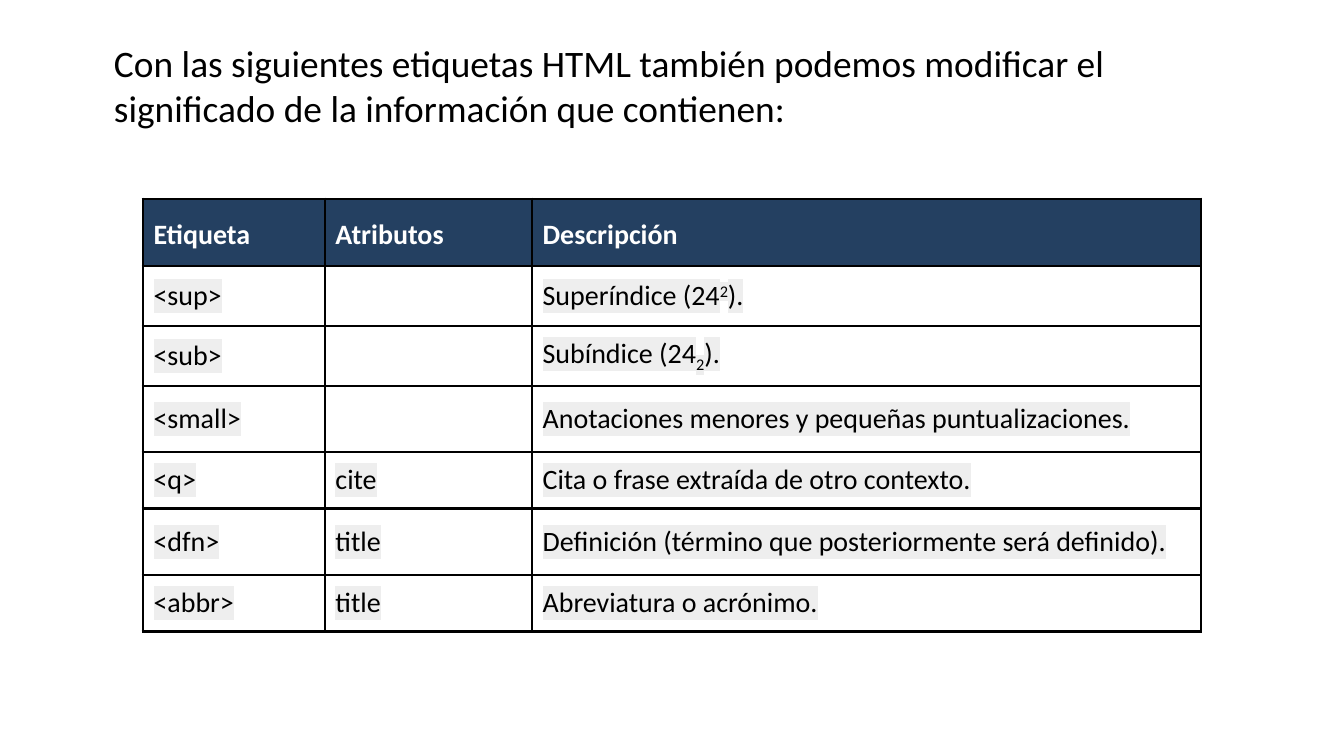
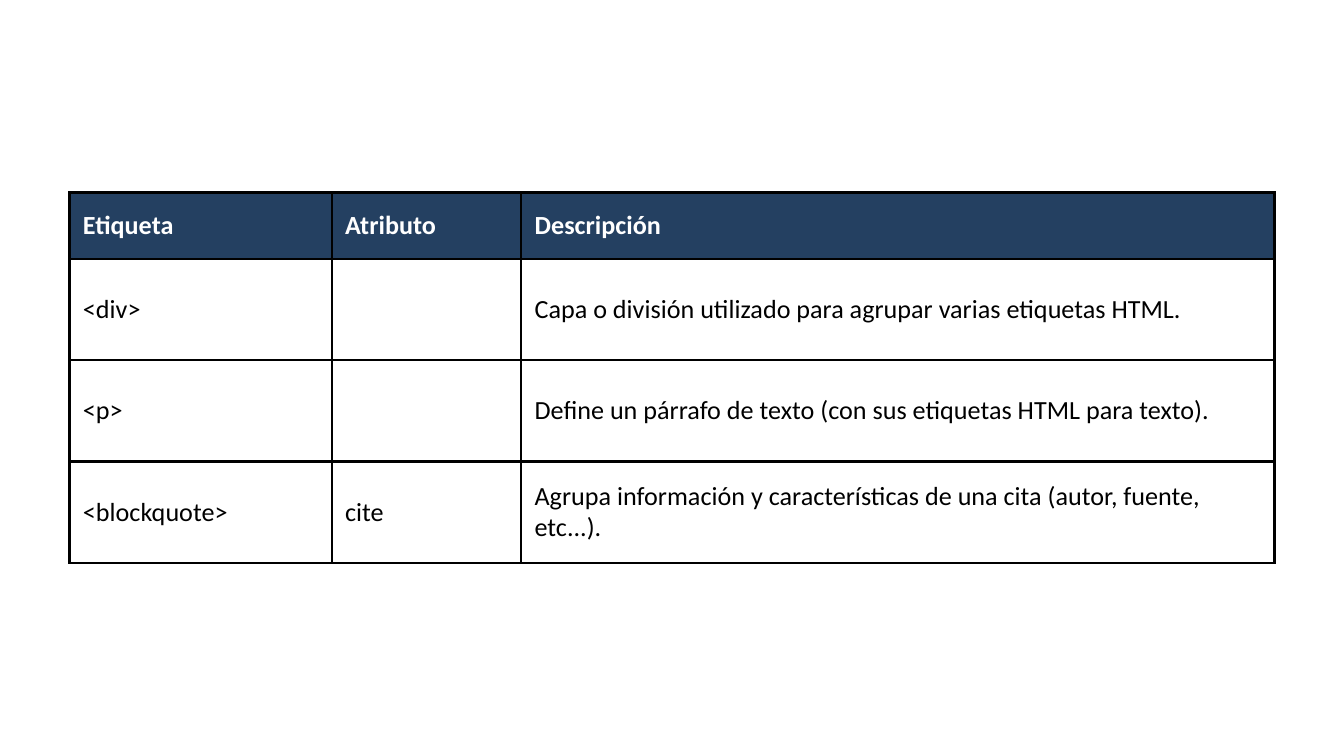
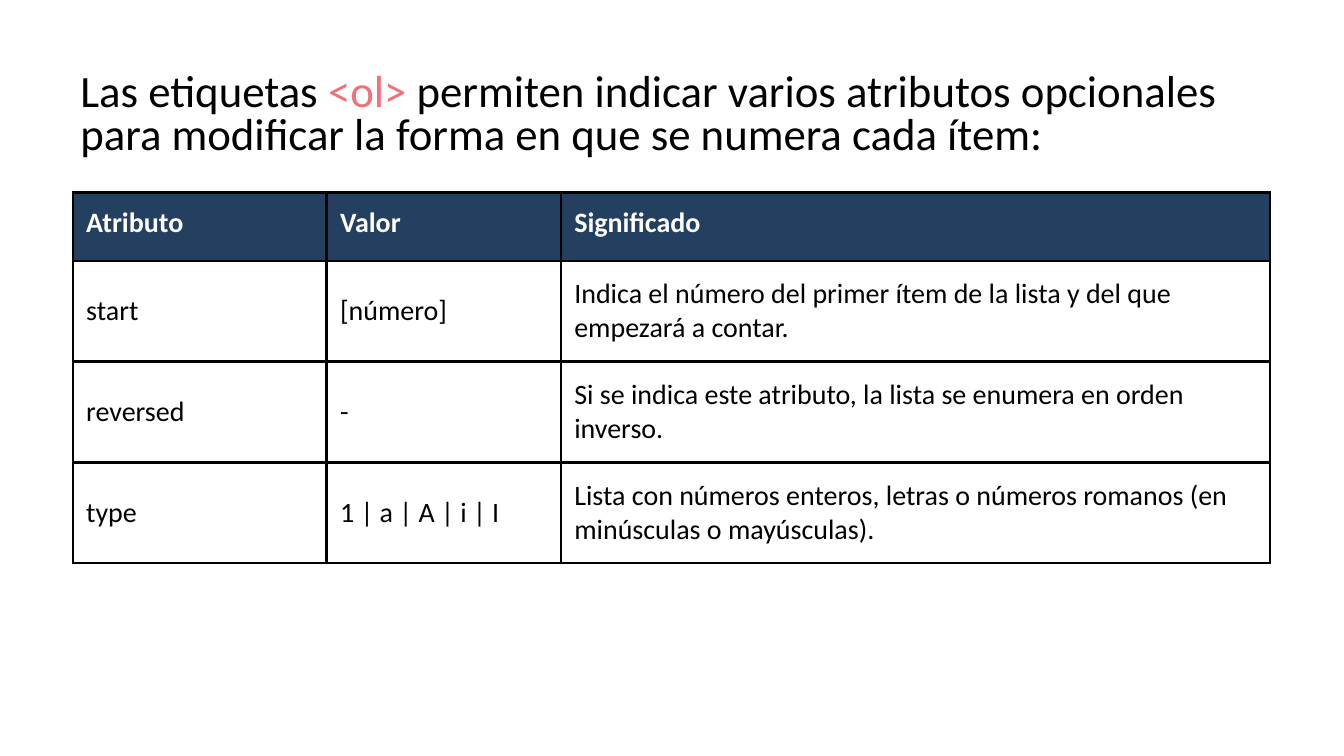
from pptx import Presentation
from pptx.dml.color import RGBColor
from pptx.enum.text import MSO_ANCHOR
from pptx.oxml.ns import qn
from pptx.util import Pt
from lxml import etree

TOP, MIDDLE = MSO_ANCHOR.TOP, MSO_ANCHOR.MIDDLE
FONT = "Calibri"
BLACK, WHITE, NAVY, CORAL, GREY = "000000", "FFFFFF", "244061", "F07178", "EEEEEE"
BORDER_WIDTH = 1.5
SUPERSCRIPT, SUBSCRIPT = 30000, -25000


def color(hex_value):
    return RGBColor.from_string(hex_value)


def add_run(paragraph, text, size, text_color, bold=False, highlight=None, baseline=0):
    run = paragraph.add_run()
    run.text = text
    for name, value in {"name": FONT, "size": Pt(size), "bold": bold}.items():
        setattr(run.font, name, value)
    run.font.color.rgb = color(text_color)
    properties = run.font._element
    if baseline:
        properties.set("baseline", str(baseline))
    if highlight:
        mark = etree.Element(qn("a:highlight"))
        etree.SubElement(mark, qn("a:srgbClr"), val=highlight)
        properties.find(qn("a:solidFill")).addnext(mark)


# Content: a title is a list of (text, colour), a split cell a list of (text, baseline)
pages = [
    {
        "title": {
            "box": (54, 18, 612, 88.5), "size": 20, "line_spacing": 1.0,
            "runs": [("Con las siguientes etiquetas HTML también podemos modificar el "
                      "significado de la información que contienen:", BLACK)],
        },
        "origin": (76.5, 106.5), "size": 15, "margins": (5.75, 5.75),
        "header_anchor": MIDDLE, "header_spacing": 1.15,
        "body_fill": None, "highlight": GREY,
        "columns": (97.5, 111, 358.5),
        "rows": (36, 32.1, 32.1, 35.4, 30.5, 35.4, 30.5),
        "cells": [
            ("Etiqueta", "Atributos", "Descripción"),
            ("<sup>", "", [("Superíndice (24", 0), ("2", SUPERSCRIPT), (").", 0)]),
            ("<sub>", "", [("Subíndice (24", 0), ("2", SUBSCRIPT), (").", 0)]),
            ("<small>", "", "Anotaciones menores y pequeñas puntualizaciones."),
            ("<q>", "cite", "Cita o frase extraída de otro contexto."),
            ("<dfn>", "title", "Definición (término que posteriormente será definido)."),
            ("<abbr>", "title", "Abreviatura o acrónimo."),
        ],
    },
    {
        "title": None,
        "origin": (37.25, 103.25), "size": 14, "margins": (7.2, 7.2),
        "header_anchor": MIDDLE, "header_spacing": 1.0,
        "body_fill": None, "highlight": None,
        "columns": (140.5, 101.5, 403.5),
        "rows": (35.4, 54.3, 54.3, 54.3),
        "cells": [
            ("Etiqueta", "Atributo", "Descripción"),
            ("<div>", "", "Capa o división utilizado para agrupar varias etiquetas HTML."),
            ("<p>", "", "Define un párrafo de texto (con sus etiquetas HTML para texto)."),
            ("<blockquote>", "cite",
             "Agrupa información y características de una cita (autor, fuente, etc...)."),
        ],
    },
    {
        "title": {
            "box": (36, 35.5, 648, 65), "size": 24, "line_spacing": 0.8,
            "runs": [("Las etiquetas ", BLACK), ("<ol>", CORAL),
                     (" permiten indicar varios atributos opcionales para modificar "
                      "la forma en que se numera cada ítem:", BLACK)],
        },
        "origin": (39, 103.25), "size": 15, "margins": (7.2, 5.75),
        "header_anchor": TOP, "header_spacing": 1.0,
        "body_fill": WHITE, "highlight": None,
        "columns": (136, 125.5, 380),
        "rows": (36.5, 54, 54, 54),
        "cells": [
            ("Atributo", "Valor", "Significado"),
            ("start", "[número]",
             "Indica el número del primer ítem de la lista y del que empezará a contar."),
            ("reversed", "-",
             "Si se indica este atributo, la lista se enumera en orden inverso."),
            ("type", "1 | a | A | i | I",
             "Lista con números enteros, letras o números romanos (en minúsculas o mayúsculas)."),
        ],
    },
]

presentation = Presentation()
presentation.slide_width, presentation.slide_height = Pt(720), Pt(405)
blank_layout = presentation.slide_layouts[6]

for page in pages:
    slide = presentation.slides.add_slide(blank_layout)
    slide.background.fill.solid()
    slide.background.fill.fore_color.rgb = color(WHITE)

    # Title
    title = page["title"]
    if title:
        shape = slide.shapes.add_textbox(*[Pt(length) for length in title["box"]])
        shape.text_frame.word_wrap = True
        paragraph = shape.text_frame.paragraphs[0]
        paragraph.space_before = Pt(6.4)
        paragraph.line_spacing = title["line_spacing"]
        for text, text_color in title["runs"]:
            add_run(paragraph, text, title["size"], text_color)

    # Table grid
    left, top = page["origin"]
    columns, rows = page["columns"], page["rows"]
    table = slide.shapes.add_table(len(rows), len(columns), Pt(left), Pt(top),
                                   Pt(sum(columns)), Pt(sum(rows))).table
    table.first_row = table.horz_banding = False
    for column, width in zip(table.columns, columns):
        column.width = Pt(width)
    for row, height in zip(table.rows, rows):
        row.height = Pt(height)

    # Table cells
    for row_index, row_texts in enumerate(page["cells"]):
        is_header = row_index == 0
        for column_index, content in enumerate(row_texts):
            cell = table.cell(row_index, column_index)
            cell_properties = cell._tc.get_or_add_tcPr()
            for side in ("a:lnL", "a:lnR", "a:lnT", "a:lnB"):
                line = etree.SubElement(cell_properties, qn(side), w=str(Pt(BORDER_WIDTH)))
                line_fill = etree.SubElement(line, qn("a:solidFill"))
                etree.SubElement(line_fill, qn("a:srgbClr"), val=BLACK)

            fill_color = NAVY if is_header else page["body_fill"]
            if fill_color:
                cell.fill.solid()
                cell.fill.fore_color.rgb = color(fill_color)
            else:
                cell.fill.background()

            if not content:
                continue
            side_margin, end_margin = (Pt(margin) for margin in page["margins"])
            cell_format = {
                "margin_left": side_margin, "margin_right": side_margin,
                "margin_top": side_margin if is_header else end_margin,
                "margin_bottom": side_margin if is_header else end_margin,
                "vertical_anchor": page["header_anchor"] if is_header else MIDDLE,
            }
            for name, value in cell_format.items():
                setattr(cell, name, value)
            paragraph = cell.text_frame.paragraphs[0]
            if is_header:
                paragraph.line_spacing = page["header_spacing"]
            parts = [(content, 0)] if isinstance(content, str) else content
            for text, baseline in parts:
                add_run(paragraph, text, page["size"], WHITE if is_header else BLACK,
                        bold=is_header, baseline=baseline,
                        highlight=None if is_header else page["highlight"])

presentation.save("out.pptx")
